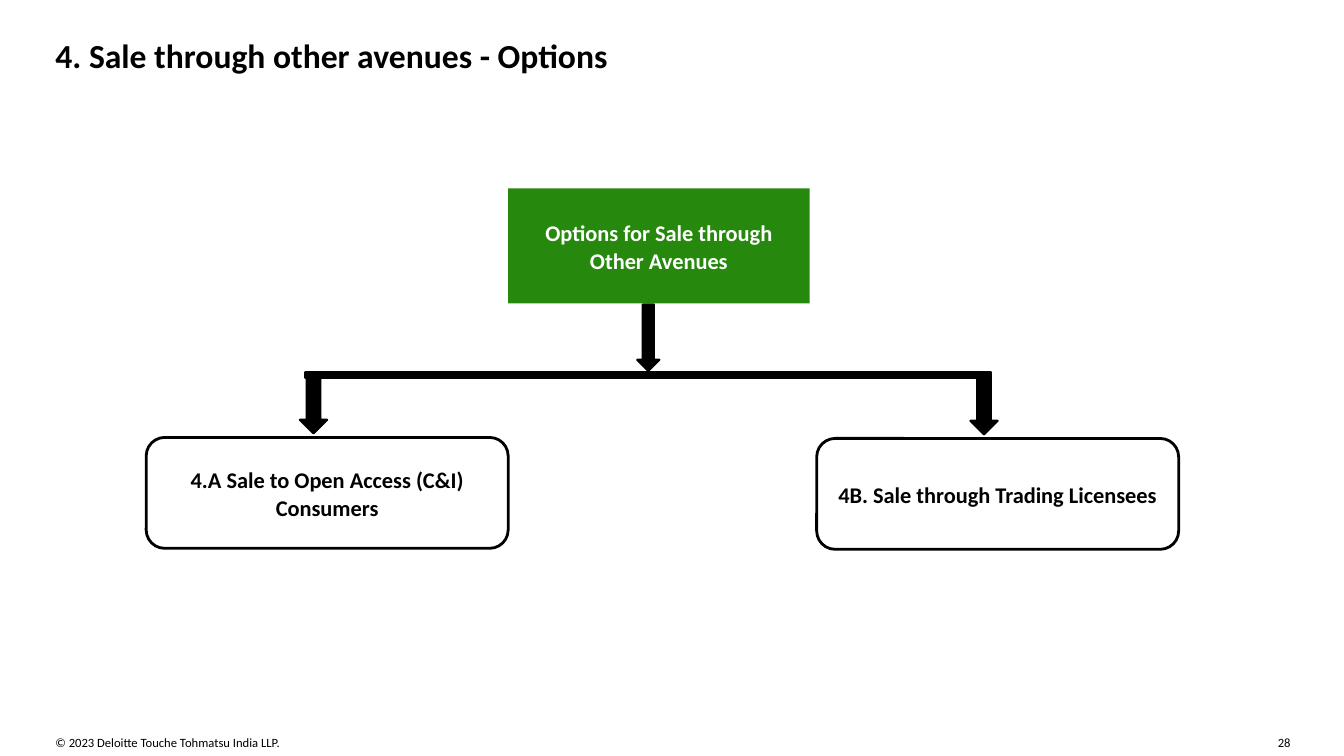
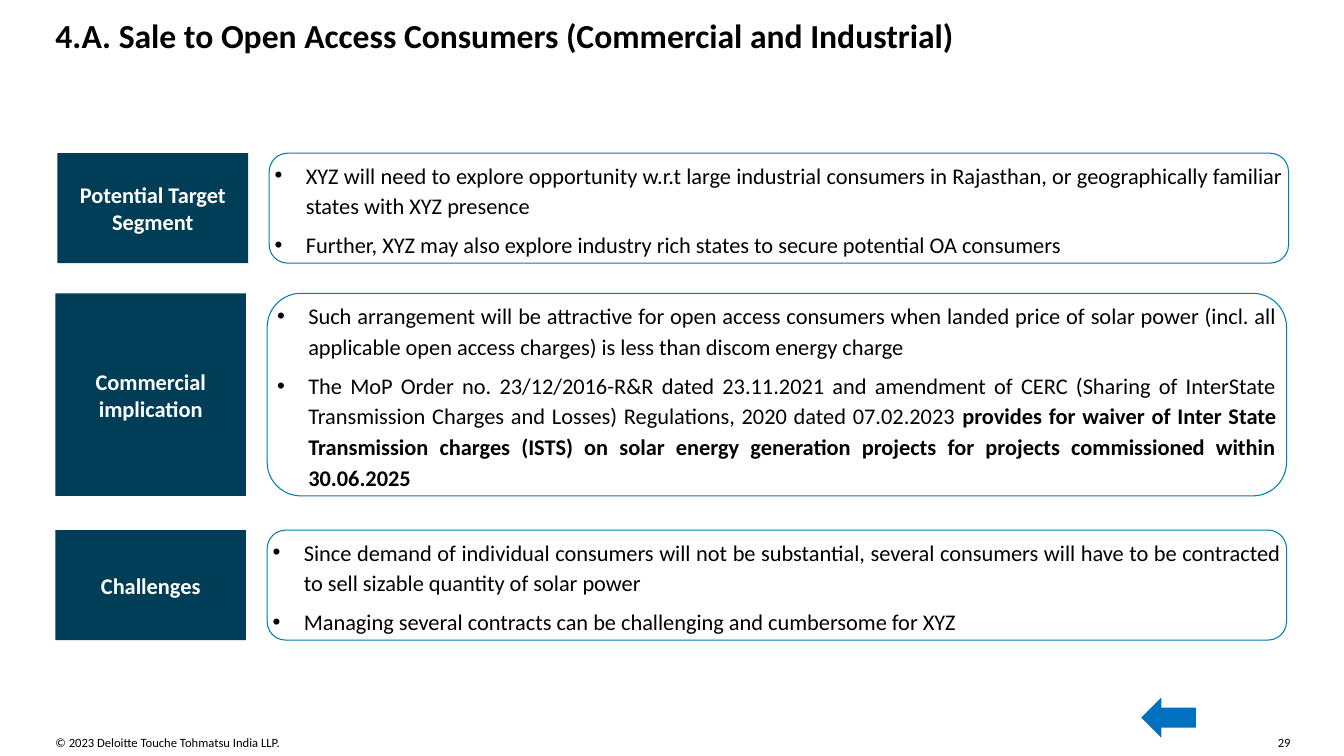
from pptx import Presentation, util as u
from pptx.dml.color import RGBColor
from pptx.enum import shapes, text
from pptx.oxml.ns import qn
from lxml import etree

BLACK = RGBColor(0x00, 0x00, 0x00)
WHITE = RGBColor(0xFF, 0xFF, 0xFF)
GREEN = RGBColor(0x26, 0x89, 0x0D)
NAVY = RGBColor(0x00, 0x3E, 0x58)
TEAL = RGBColor(0x00, 0x7C, 0xB0)
BLUE = RGBColor(0x00, 0x70, 0xC0)
FONT = "Calibri"
MARGIN = 0.55
CONTENT_WIDTH = 12.24
FOOTER_TOP = 7.29
KIND = shapes.MSO_SHAPE
ALIGN = text.PP_ALIGN
MIDDLE, TOP = text.MSO_ANCHOR.MIDDLE, text.MSO_ANCHOR.TOP

# Content
COPYRIGHT = "© 2023 Deloitte Touche Tohmatsu India LLP."
FIRST_PAGE = 28
OPTIONS_TITLE = "4. Sale through other avenues - Options"
OPTIONS_ROOT = "Options for Sale through Other Avenues"
# label, box left, box top, arrow centre
OPTIONS = [
    ("4.A Sale to Open Access (C&I) Consumers", 1.45, 4.34, 3.11),
    ("4B. Sale through Trading Licensees", 8.1, 4.35, 9.76),
]
CONSUMERS_TITLE = "4.A. Sale to Open Access Consumers (Commercial and Industrial)"
# label, left, top, height, bullets as (plain, bold) text
TOPICS = [
    ("Potential Target Segment", 0.57, 1.52, 1.09, [
        ("XYZ will need to explore opportunity w.r.t large industrial consumers in "
         "Rajasthan, or geographically familiar states with XYZ presence", ""),
        ("Further, XYZ may also explore industry rich states to secure potential "
         "OA consumers", ""),
    ]),
    ("Commercial implication", MARGIN, 2.91, 2.01, [
        ("Such arrangement will be attractive for open access consumers when landed "
         "price of solar power (incl. all applicable open access charges) is less "
         "than discom energy charge", ""),
        ("The MoP Order no. 23/12/2016-R&R dated 23.11.2021 and amendment of CERC "
         "(Sharing of InterState Transmission Charges and Losses) Regulations, 2020 "
         "dated 07.02.2023 ",
         "provides for waiver of Inter State Transmission charges (ISTS) on solar "
         "energy generation projects for projects commissioned within 30.06.2025"),
    ]),
    ("Challenges", MARGIN, 5.26, 1.09, [
        ("Since demand of individual consumers will not be substantial, several "
         "consumers will have to be contracted to sell sizable quantity of solar "
         "power", ""),
        ("Managing several contracts can be challenging and cumbersome for XYZ", ""),
    ]),
]


# Shared helpers
def set_frame(shape, anchor, inset=0.0):
    frame = shape.text_frame
    frame.word_wrap = True
    frame.vertical_anchor = anchor
    frame.margin_left = frame.margin_right = u.Inches(inset)
    frame.margin_top = frame.margin_bottom = u.Inches(inset)
    return frame


def set_font(paragraph, size, color=BLACK, bold=False):
    font = paragraph.font
    font.name, font.size, font.bold = FONT, u.Pt(size), bold
    font.color.rgb = color


def add_block(slide, kind, box, fill=None, line=None, line_width=1.5):
    shape = slide.shapes.add_shape(kind, *map(u.Inches, box))
    shape.shadow.inherit = False
    if fill is None:
        shape.fill.background()
    else:
        shape.fill.solid()
        shape.fill.fore_color.rgb = fill
    if line is None:
        shape.line.fill.background()
    else:
        shape.line.color.rgb = line
        shape.line.width = u.Pt(line_width)
    return shape


def add_label(shape, label, color, inset=0.0, spacing=1.0):
    paragraph = set_frame(shape, MIDDLE, inset).paragraphs[0]
    paragraph.text = label
    paragraph.alignment = ALIGN.CENTER
    paragraph.line_spacing = spacing
    set_font(paragraph, 16, color, True)


def add_footer(slide, label, left, width, alignment):
    box = slide.shapes.add_textbox(*map(u.Inches, (left, FOOTER_TOP, width, 0.15)))
    paragraph = set_frame(box, TOP).paragraphs[0]
    paragraph.text = label
    paragraph.alignment = alignment
    set_font(paragraph, 9)


def add_page(presentation, title, title_top):
    slide = presentation.slides.add_slide(presentation.slide_layouts[5])
    heading = slide.shapes.title
    heading.left, heading.top = u.Inches(MARGIN), u.Inches(title_top)
    heading.width, heading.height = u.Inches(CONTENT_WIDTH), u.Inches(0.37)
    frame = set_frame(heading, TOP)
    frame.auto_size = text.MSO_AUTO_SIZE.NONE
    paragraph = frame.paragraphs[0]
    paragraph.text = title
    paragraph.alignment = ALIGN.LEFT
    set_font(paragraph, 24, bold=True)
    page = FIRST_PAGE + len(presentation.slides) - 1
    add_footer(slide, COPYRIGHT, MARGIN, 5.86, ALIGN.LEFT)
    add_footer(slide, str(page), 12.3, 0.5, ALIGN.RIGHT)
    return slide


def add_bullets(shape, bullets):
    frame = set_frame(shape, MIDDLE)
    for index, (plain, bold) in enumerate(bullets):
        paragraph = frame.add_paragraph() if index else frame.paragraphs[0]
        paragraph.alignment = ALIGN.JUSTIFY
        paragraph.line_spacing = 1.14
        paragraph.space_after = u.Pt(6)
        properties = paragraph._p.get_or_add_pPr()
        properties.set("marL", str(u.Inches(0.31)))
        properties.set("indent", str(-u.Inches(0.31)))
        etree.SubElement(properties, qn("a:buFont")).set("typeface", "Arial")
        etree.SubElement(properties, qn("a:buChar")).set("char", "•")
        set_font(paragraph, 16)
        paragraph.add_run().text = plain
        if bold:
            run = paragraph.add_run()
            run.text = bold
            run.font.bold = True


# Slides
def build_options(presentation):
    slide = add_page(presentation, OPTIONS_TITLE, 0.35)
    trunk = 6.43
    add_block(slide, KIND.DOWN_ARROW, (trunk - 0.11, 3.02, 0.22, 0.66), BLACK, BLACK)
    add_block(slide, KIND.RECTANGLE, (trunk - 3.4, 3.69, 6.8, 0.06), BLACK, BLACK)
    root = add_block(slide, KIND.RECTANGLE, (5.04, 1.87, 2.99, 1.14), GREEN)
    add_label(root, OPTIONS_ROOT, WHITE, 0.1, 1.06)
    for label, left, top, center in OPTIONS:
        add_block(slide, KIND.DOWN_ARROW, (center - 0.135, top - 0.64, 0.27, 0.6),
                  BLACK, BLACK)
        option = add_block(slide, KIND.ROUNDED_RECTANGLE, (left, top, 3.59, 1.1),
                           WHITE, BLACK, 2)
        add_label(option, label, BLACK, 0.1, 1.06)


def build_consumers(presentation):
    slide = add_page(presentation, CONSUMERS_TITLE, 0.15)
    label_width, gap, card_width = 1.89, 0.21, 10.11
    for label, left, top, height, bullets in TOPICS:
        card_left = left + label_width + gap
        card = add_block(slide, KIND.ROUNDED_RECTANGLE,
                         (card_left, top, card_width, height), None, TEAL, 0.75)
        add_bullets(card, bullets)
        tag = add_block(slide, KIND.RECTANGLE, (left, top, label_width, height), NAVY)
        add_label(tag, label, WHITE)
    add_block(slide, KIND.LEFT_ARROW, (11.32, 6.92, 0.54, 0.4), BLUE)


def main():
    presentation = Presentation()
    presentation.slide_width = u.Inches(13.33)
    presentation.slide_height = u.Inches(7.5)
    build_options(presentation)
    build_consumers(presentation)
    presentation.save("out.pptx")


if __name__ == "__main__":
    main()
